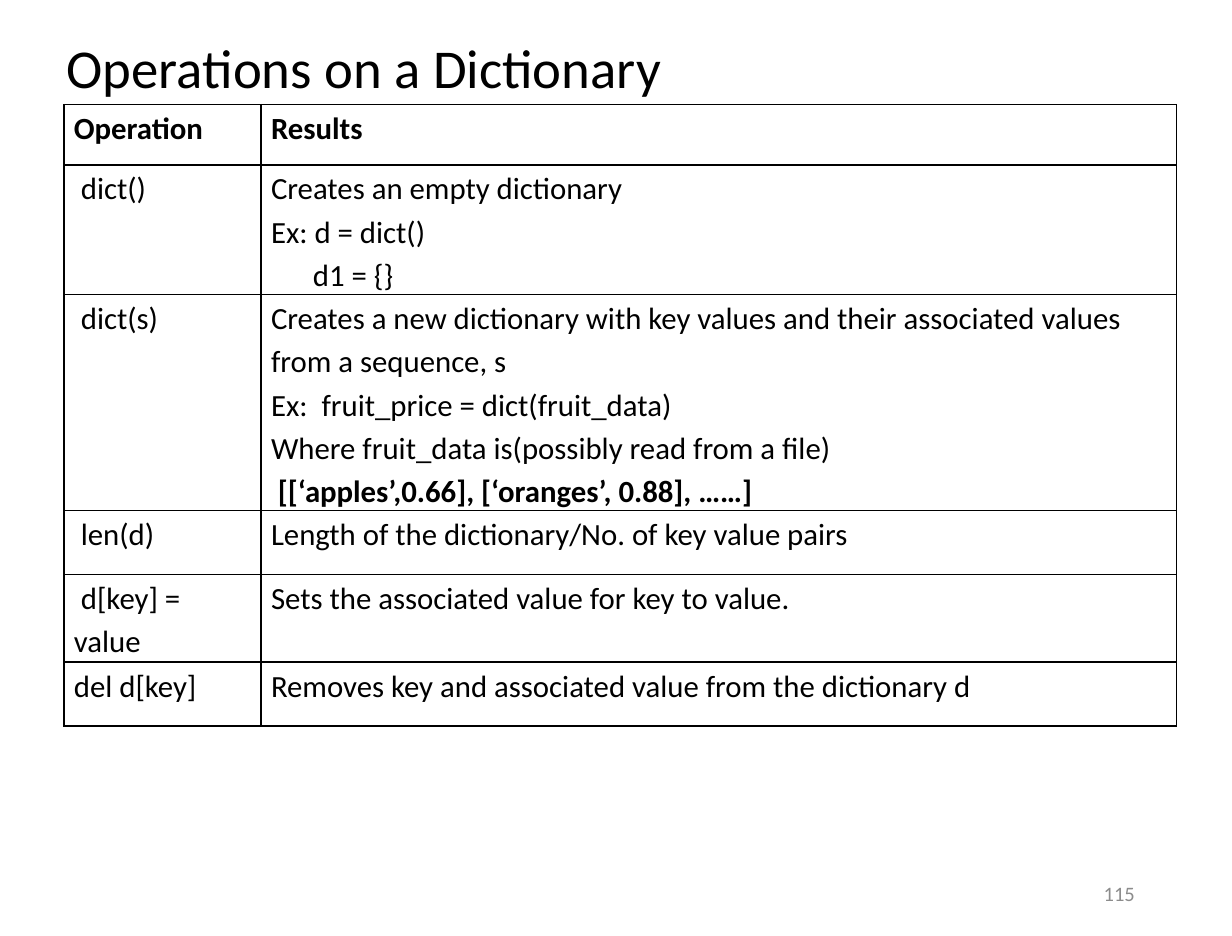
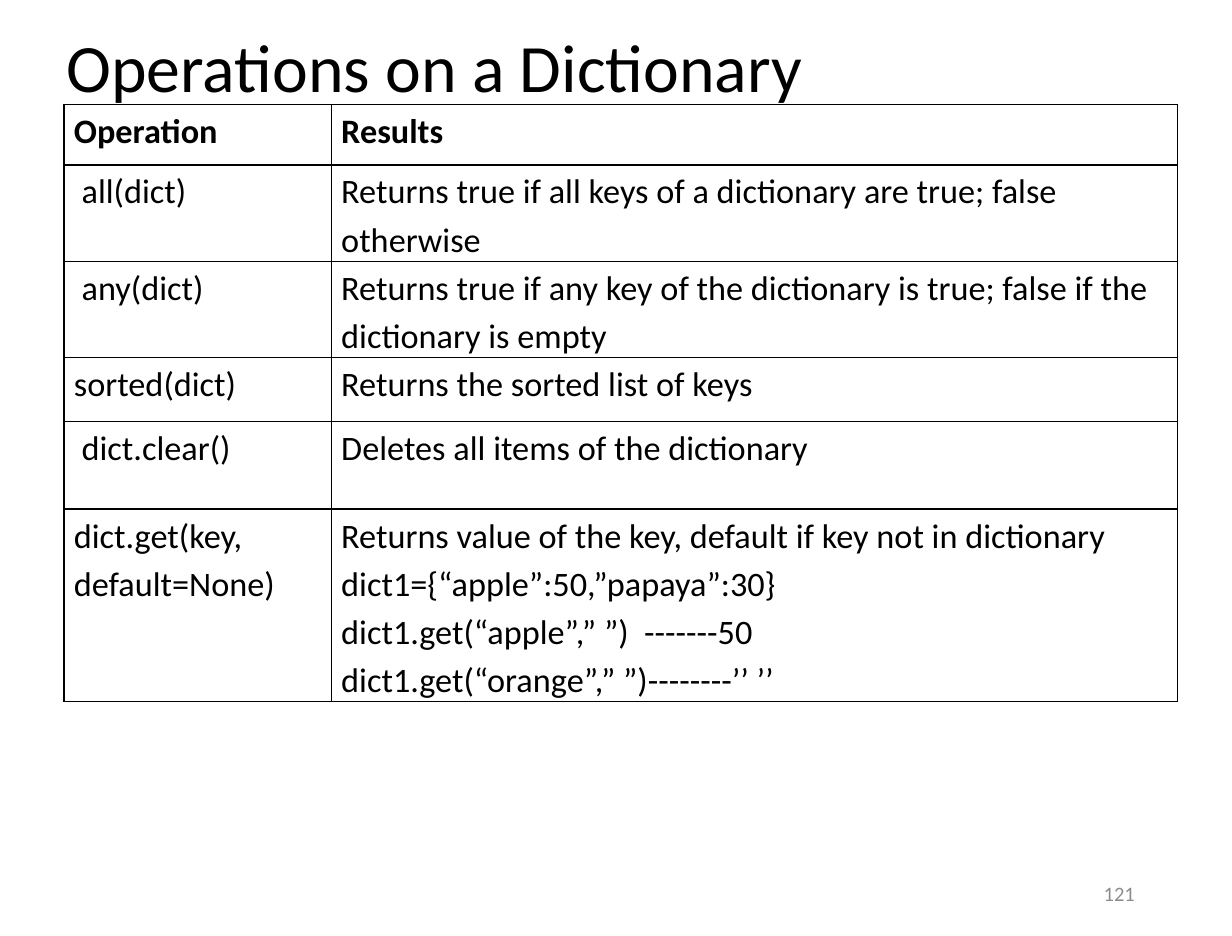
import pptx
import pptx.util
import pptx.dml.color
import pptx.enum.text
import pptx.oxml.ns
import lxml.etree

Inches = pptx.util.Inches
FONT = "Calibri"
BLACK = "000000"
GREY = "8C8C8C"
TITLE = "Operations on a Dictionary"
BORDER_SIDES = ("a:lnL", "a:lnR", "a:lnT", "a:lnB")


def format_paragraph(paragraph, size, color, bold=False, spacing=None):
    paragraph.line_spacing = spacing
    for run in paragraph.runs:
        run.font.name = FONT
        run.font.size = pptx.util.Pt(size)
        run.font.bold = bold
        run.font.color.rgb = pptx.dml.color.RGBColor.from_string(color)


def add_borders(cell, color, width):
    properties = cell._tc.get_or_add_tcPr()
    for side in BORDER_SIDES:
        line = lxml.etree.SubElement(properties, pptx.oxml.ns.qn(side), w=str(pptx.util.Pt(width)))
        fill = lxml.etree.SubElement(line, pptx.oxml.ns.qn("a:solidFill"))
        lxml.etree.SubElement(fill, pptx.oxml.ns.qn("a:srgbClr"), val=color)


pages = [
    {
        "number": "115",
        "title_size": 32,
        "table_size": 18,
        "columns": [1.6, 7.43],
        "heights": [0.49, 1.05, 1.75, 0.52, 0.71, 0.52],
        "rows": [
            ("Operation", ["Results"]),
            (" dict()", ["Creates an empty dictionary", "Ex: d = dict()", "d1 = {}"]),
            (" dict(s)", [
                "Creates a new dictionary with key values and their associated values from a sequence, s",
                "Ex:  fruit_price = dict(fruit_data)",
                "Where fruit_data is(possibly read from a file)",
                " [[‘apples’,0.66], [‘oranges’, 0.88], ……]",
            ]),
            (" len(d)", ["Length of the dictionary/No. of key value pairs"]),
            (" d[key] = value", ["Sets the associated value for key to value."]),
            ("del d[key]", ["Removes key and associated value from the dictionary d"]),
        ],
    },
    {
        "number": "121",
        "title_size": 39.6,
        "table_size": 20,
        "columns": [2.17, 6.87],
        "heights": [0.49, 0.52, 0.78, 0.52, 0.71, 1.4],
        "rows": [
            ("Operation", ["Results"]),
            (" all(dict)", ["Returns true if all keys of a dictionary are true; false otherwise"]),
            (" any(dict)", [
                "Returns true if any key of the dictionary is true; false if the dictionary is empty",
            ]),
            ("sorted(dict)", ["Returns the sorted list of keys"]),
            (" dict.clear()", ["Deletes all items of the dictionary"]),
            ("dict.get(key, default=None)", [
                "Returns value of the key, default if key not in dictionary",
                "dict1={“apple”:50,”papaya”:30}",
                "dict1.get(“apple”,” ”)  -------50",
                "dict1.get(“orange”,” ”)--------’’ ’’",
            ]),
        ],
    },
]

presentation = pptx.Presentation()
presentation.slide_width = Inches(10)
presentation.slide_height = Inches(7.6)
title_only = presentation.slide_layouts[5]

for page in pages:
    slide = presentation.slides.add_slide(title_only)

    title = slide.shapes.title
    title.left, title.top = Inches(0.44), Inches(0.2)
    title.width, title.height = Inches(9.12), Inches(0.75)
    title.text_frame.text = TITLE
    title.text_frame.auto_size = pptx.enum.text.MSO_AUTO_SIZE.NONE
    title.text_frame.vertical_anchor = pptx.enum.text.MSO_ANCHOR.MIDDLE
    title_paragraph = title.text_frame.paragraphs[0]
    title_paragraph.alignment = pptx.enum.text.PP_ALIGN.LEFT
    format_paragraph(title_paragraph, page["title_size"], BLACK, spacing=0.9)

    table = slide.shapes.add_table(
        len(page["rows"]), 2, Inches(0.52), Inches(0.85),
        Inches(sum(page["columns"])), Inches(sum(page["heights"])),
    ).table
    table.horz_banding = False
    table.first_row = False
    for column, width in zip(table.columns, page["columns"]):
        column.width = Inches(width)
    for row, height in zip(table.rows, page["heights"]):
        row.height = Inches(height)

    for row_index, (operation, results) in enumerate(page["rows"]):
        for column_index, lines in enumerate(([operation], results)):
            cell = table.cell(row_index, column_index)
            cell.margin_left = cell.margin_right = Inches(0.08)
            cell.margin_top = cell.margin_bottom = 0
            add_borders(cell, BLACK, 1)
            cell.fill.background()
            cell.text_frame.text = "\n".join(lines)
            for paragraph in cell.text_frame.paragraphs:
                bold = row_index == 0 or paragraph.text.startswith(" [[")
                format_paragraph(paragraph, page["table_size"], BLACK, bold, 1.15)
                if paragraph.text.startswith("d1 ="):
                    paragraph._p.get_or_add_pPr().set("marL", str(Inches(0.34)))

    number_box = slide.shapes.add_textbox(Inches(7.06), Inches(7.05), Inches(2.25), Inches(0.4))
    number_box.text_frame.word_wrap = True
    number_box.text_frame.vertical_anchor = pptx.enum.text.MSO_ANCHOR.MIDDLE
    number_box.text_frame.text = page["number"]
    number_paragraph = number_box.text_frame.paragraphs[0]
    number_paragraph.alignment = pptx.enum.text.PP_ALIGN.RIGHT
    format_paragraph(number_paragraph, 12, GREY)

presentation.save("out.pptx")
